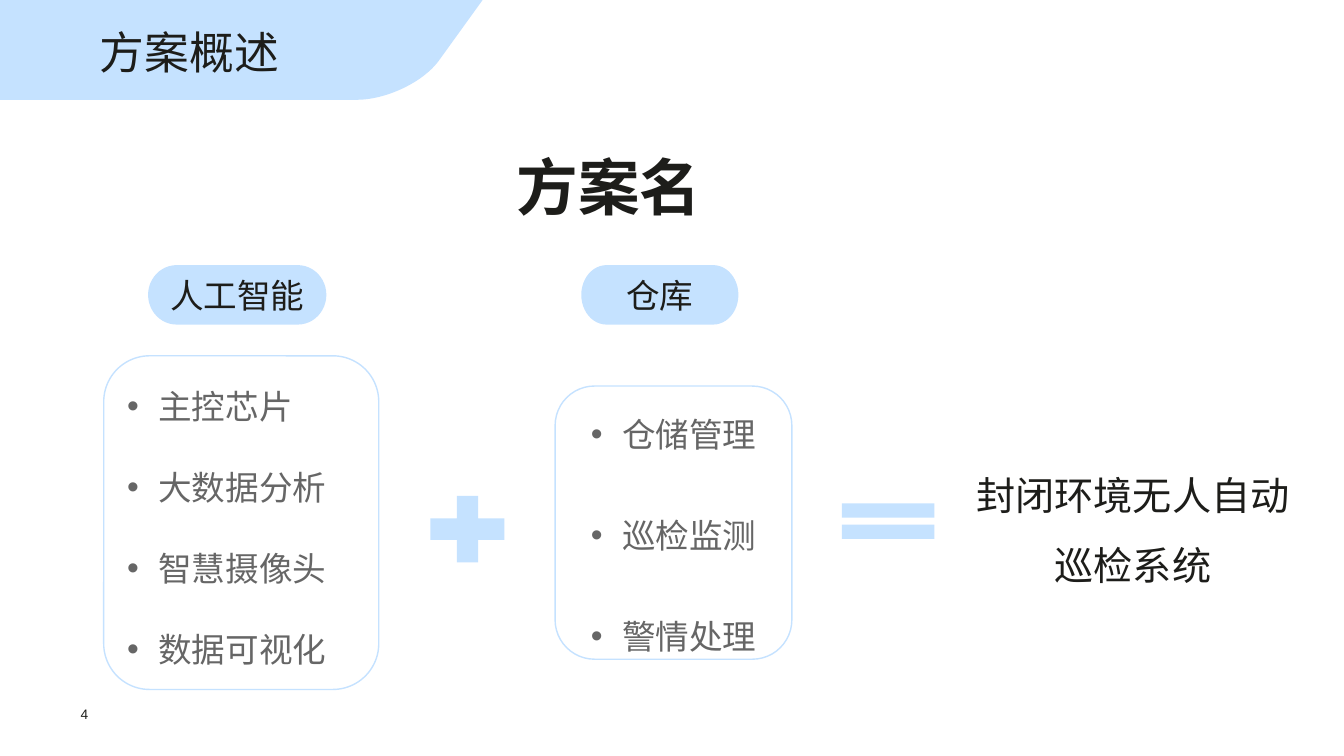
from dataclasses import dataclass

from lxml import etree
from pptx import Presentation
from pptx.dml.color import RGBColor
from pptx.enum.shapes import MSO_SHAPE
from pptx.enum.text import MSO_ANCHOR, MSO_AUTO_SIZE, PP_ALIGN
from pptx.oxml.ns import qn
from pptx.util import Inches, Pt

ROUNDED = MSO_SHAPE.ROUNDED_RECTANGLE
PILL = MSO_SHAPE.FLOWCHART_TERMINATOR
PLUS = MSO_SHAPE.MATH_PLUS
EQUAL = MSO_SHAPE.MATH_EQUAL
TOP, MIDDLE = MSO_ANCHOR.TOP, MSO_ANCHOR.MIDDLE
LEFT, CENTER = PP_ALIGN.LEFT, PP_ALIGN.CENTER


@dataclass(frozen=True)
class Theme:
    pale: RGBColor = RGBColor(0xC5, 0xE2, 0xFF)
    ink: RGBColor = RGBColor(0x1D, 0x1D, 0x1A)
    gray: RGBColor = RGBColor(0x66, 0x66, 0x66)
    cjk: str = "Noto Sans CJK SC"
    heading: str = "Lato"
    number: str = "Arial"
    name_size: float = 44
    title_size: float = 32
    result_size: float = 28
    item_size: float = 24
    number_size: float = 9.8
    item_line: float = 29


THEME = Theme()


def inches(box):
    return [Inches(length) for length in box]


def set_frame(frame, anchor=TOP, margins=(0, 0, 0, 0), wrap=True):
    frame.word_wrap = wrap
    frame.auto_size = MSO_AUTO_SIZE.NONE
    frame.vertical_anchor = anchor
    (frame.margin_left, frame.margin_top,
     frame.margin_right, frame.margin_bottom) = inches(margins)


def write(para, text, font, size, color=THEME.ink, bold=False, align=LEFT, line=None):
    para.alignment = align
    if line:
        para.line_spacing = Pt(line)
    span = para.add_run()
    span.text = text
    span.font.name = font
    span.font.size = Pt(size)
    span.font.bold = bold
    span.font.color.rgb = color
    latin = span.font._element.find(qn("a:latin"))
    east_asian = etree.Element(qn("a:ea"), typeface=font)
    latin.addnext(east_asian)


def add_bullet(para, indent=0.31):
    properties = para._p.get_or_add_pPr()
    properties.set("marL", str(Inches(indent)))
    properties.set("indent", str(-Inches(indent)))
    etree.SubElement(properties, qn("a:buFont"), typeface=THEME.number)
    etree.SubElement(properties, qn("a:buChar"), char="•")


def add_filled(page, kind, box):
    shape = page.shapes.add_shape(kind, *inches(box))
    shape.shadow.inherit = False
    shape.fill.solid()
    shape.fill.fore_color.rgb = THEME.pale
    shape.line.fill.background()
    return shape


def add_text(page, box, text, font, size, margins=(0, 0, 0, 0), **style):
    frame = page.shapes.add_textbox(*inches(box)).text_frame
    set_frame(frame, margins=margins)
    write(frame.paragraphs[0], text, font, size, **style)


def add_header(page, box, text):
    left, top, width, height = box
    right, bottom = left + width, top + height
    # Banner outline, its lower corner rounded along a Bezier curve
    curve = [(right - 0.44, top + 0.61), (right - 0.6, top + 0.82),
             (right - 0.96, bottom), (right - 1.25, bottom)]
    steps = 24
    outline = []
    for step in range(steps + 1):
        t = step / steps
        weights = ((1 - t) ** 3, 3 * t * (1 - t) ** 2, 3 * t * t * (1 - t), t ** 3)
        outline.append([Inches(sum(weight * point[axis] for weight, point in zip(weights, curve)))
                        for axis in (0, 1)])
    outline += [inches((left, bottom)), inches((left, top))]
    builder = page.shapes.build_freeform(Inches(right), Inches(top))
    builder.add_line_segments(outline, close=True)
    banner = builder.convert_to_shape()
    banner.shadow.inherit = False
    banner.fill.solid()
    banner.fill.fore_color.rgb = THEME.pale
    banner.line.fill.background()

    # Title, brought in front of the banner
    title = page.shapes.title
    title.left, title.top, title.width, title.height = inches((left + 0.99, top + 0.3, 2.49, 0.49))
    set_frame(title.text_frame)
    write(title.text_frame.paragraphs[0], text, THEME.heading, THEME.title_size, line=34.3)
    banner._element.addnext(title._element)


def add_pill(page, box, text):
    frame = add_filled(page, PILL, box).text_frame
    set_frame(frame, MIDDLE, wrap=False)
    write(frame.paragraphs[0], text, THEME.heading, THEME.item_size, align=CENTER)


def add_list(page, box, items, left_margin, gap):
    card = page.shapes.add_shape(ROUNDED, *inches(box))
    card.shadow.inherit = False
    card.fill.background()
    card.line.color.rgb = THEME.pale
    card.line.width = Pt(1)
    frame = card.text_frame
    set_frame(frame, margins=(left_margin, 0.16, 0, 0))
    for index, item in enumerate(items):
        para = frame.add_paragraph() if index else frame.paragraphs[0]
        if index:
            para.space_before = Pt(gap)
        para.line_spacing = Pt(THEME.item_line)
        add_bullet(para)
        write(para, item, THEME.cjk, THEME.item_size, THEME.gray)


def add_equation(page, box):
    left, top, _, _ = box
    # Two ingredients
    add_pill(page, (left + 0.44, top, 1.77, 0.59), "人工智能")
    add_list(page, (left, top + 0.9, 2.73, 3.31),
             ["主控芯片", "大数据分析", "智慧摄像头", "数据可视化"], 0.1, 29)
    add_pill(page, (left + 4.74, top, 1.56, 0.59), "仓库")
    add_list(page, (left + 4.48, top + 1.2, 2.35, 2.71),
             ["仓储管理", "巡检监测", "警情处理"], 0.24, 43)
    # Operators
    add_filled(page, PLUS, (left + 3.11, top + 2.17, 1, 0.9))
    add_filled(page, EQUAL, (left + 7.16, top + 2.24, 1.25, 0.6))
    # Result
    add_text(page, (left + 8.41, top + 1.77, 3.61, 1.5), "封闭环境无人自动巡检系统",
             THEME.cjk, THEME.result_size, margins=(0.1, 0.05, 0.1, 0.05),
             align=CENTER, line=50)


def main():
    deck = Presentation()
    deck.slide_width, deck.slide_height = inches((13.34, 7.5))
    page = deck.slides.add_slide(deck.slide_layouts[5])
    add_header(page, (0, 0, 4.79, 0.99), "方案概述")
    add_text(page, (5.13, 1.04, 3.07, 1.2), "方案名", THEME.cjk, THEME.name_size,
             bold=True, line=84)
    add_equation(page, (1.03, 2.63, 12.02, 4.21))
    # Page number
    add_text(page, (0.8, 7, 0.55, 0.16), "4", THEME.number, THEME.number_size)
    deck.save("out.pptx")


if __name__ == "__main__":
    main()
